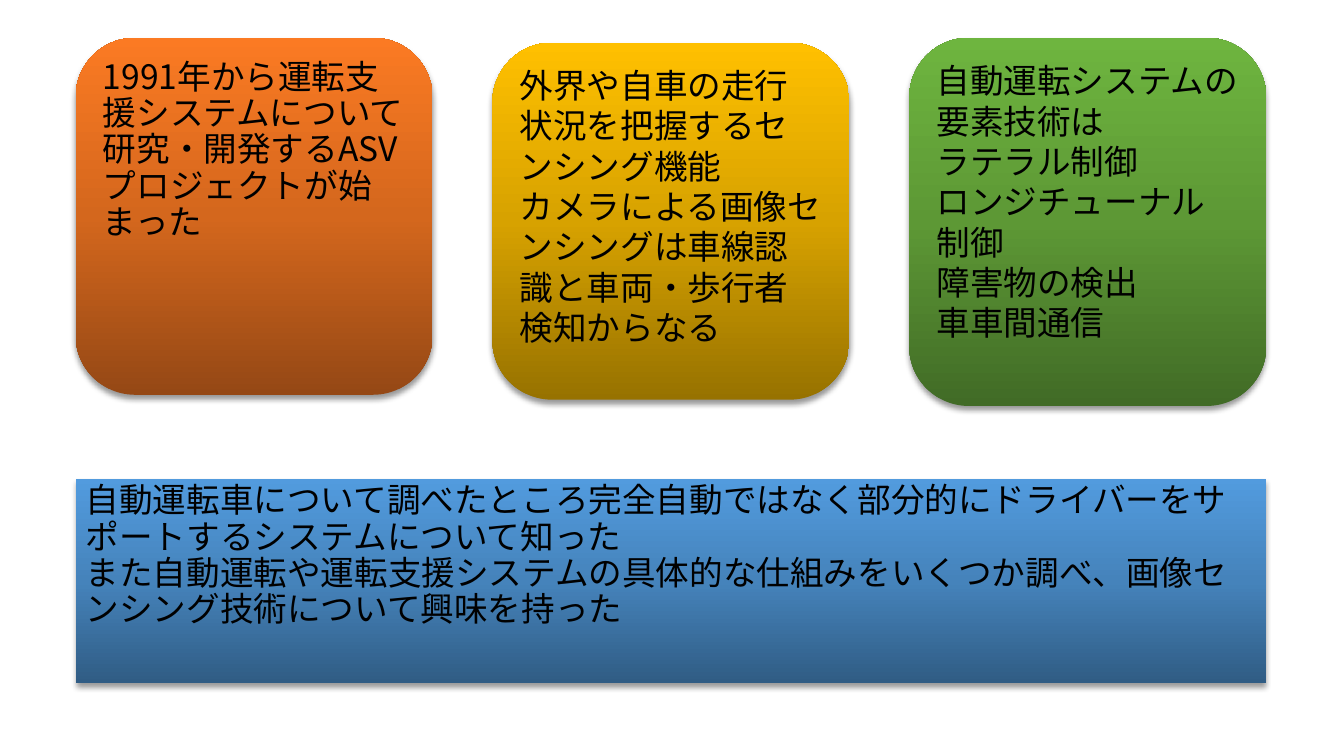
"""Build the summary slide on driver assistance and automated driving."""
from copy import deepcopy
from dataclasses import dataclass

from lxml import etree
from pptx import Presentation
from pptx.dml.color import RGBColor
from pptx.enum.lang import MSO_LANGUAGE_ID
from pptx.enum.shapes import MSO_SHAPE
from pptx.enum.text import MSO_ANCHOR, MSO_AUTO_SIZE, PP_ALIGN
from pptx.oxml.ns import qn
from pptx.util import Pt

ROUNDED = MSO_SHAPE.ROUNDED_RECTANGLE
TOP = MSO_ANCHOR.TOP
LEFT = PP_ALIGN.LEFT
NO_AUTOFIT = MSO_AUTO_SIZE.NONE
JAPANESE = MSO_LANGUAGE_ID.JAPANESE
TITLE_ONLY = 5


@dataclass(frozen=True)
class Theme:
    """Colours, fonts and type size of the slide."""
    text: str = "000000"
    shadow: str = "000000"
    orange: tuple = ("954815", "D4671D", "FB7A23")
    gold: tuple = ("977200", "D7A200", "FFC000")
    green: tuple = ("416B26", "5D9835", "6EB53F")
    blue: tuple = ("305C84", "4583BB", "529BDE")
    card_font: str = "Noto Sans CJK JP"
    title_font: str = "Arial"
    size: int = 24


class SlideBuilder:
    """Draw styled elements on one slide."""

    def __init__(self, slide, theme):
        """Keep the slide and its theme."""
        self.slide = slide
        self.theme = theme

    def card(self, box, colors, paragraphs, spacing=1.0):
        """Add a rounded card with text."""
        card = self.slide.shapes.add_shape(ROUNDED, *map(Pt, box))
        self.surface(card, colors)
        self.add_text(card, paragraphs, self.theme.card_font, spacing)

    def title(self, box, colors, lines):
        """Place and format the title as a banner."""
        banner = self.slide.shapes.title
        banner.left, banner.top, banner.width, banner.height = map(Pt, box)
        self.surface(banner, colors)
        self.add_text(banner, ["\n".join(lines)], self.theme.title_font, 0.9)

    def surface(self, shape, colors):
        """Apply a vertical gradient, no outline and a soft shadow."""
        shape.fill.gradient()
        shape.fill.gradient_angle = 90
        properties = shape._element.spPr
        stops = properties.find(".//" + qn("a:gsLst"))
        stops.insert(1, deepcopy(stops[0]))
        for stop, color, position in zip(shape.fill.gradient_stops, colors, (0, 0.5, 1)):
            stop.color.rgb = RGBColor.from_string(color)
            stop.position = position
        shape.line.fill.background()
        shape.shadow.inherit = False
        shadow = etree.SubElement(
            properties.find(qn("a:effectLst")), qn("a:outerShdw"),
            blurRad=str(Pt(4)), dist=str(Pt(3)), dir="5400000", rotWithShape="0")
        tint = etree.SubElement(shadow, qn("a:srgbClr"), val=self.theme.shadow)
        etree.SubElement(tint, qn("a:alpha"), val="40000")

    def add_text(self, shape, paragraphs, font, spacing):
        """Fill a shape with left-aligned text from its top."""
        frame = shape.text_frame
        frame.word_wrap = True
        frame.auto_size = NO_AUTOFIT
        frame.vertical_anchor = TOP
        for index, text in enumerate(paragraphs):
            paragraph = frame.add_paragraph() if index else frame.paragraphs[0]
            paragraph.alignment = LEFT
            paragraph.line_spacing = spacing
            for row, line in enumerate(text.split("\n")):
                if row:
                    paragraph.add_line_break()
                self.add_run(paragraph, line, font)

    def add_run(self, paragraph, text, font):
        """Add one formatted run."""
        run = paragraph.add_run()
        run.text = text
        run.font.name = font
        run.font.size = Pt(self.theme.size)
        run.font.color.rgb = RGBColor.from_string(self.theme.text)
        run.font.language_id = JAPANESE
        east_asian = etree.Element(qn("a:ea"), typeface=self.theme.card_font)
        run.font._element.find(qn("a:latin")).addnext(east_asian)


def main():
    """Compose and save the slide."""
    deck = Presentation()
    deck.slide_width, deck.slide_height = Pt(960), Pt(540)
    theme = Theme()
    builder = SlideBuilder(deck.slides.add_slide(deck.slide_layouts[TITLE_ONLY]), theme)

    margin, full_width, card_width = 54, 850.5, 255
    pitch = (full_width - card_width) / 2
    cards = [
        (27, 255, theme.orange, 0.9,
         ["1991年から運転支援システムについて研究・開発するASVプロジェクトが始まった"]),
        (30.5, 255, theme.gold, 1.0,
         ["外界や自車の走行状況を把握するセンシング機能",
          "カメラによる画像センシングは車線認識と車両・歩行者検知からなる"]),
        (27, 263, theme.green, 1.0,
         ["自動運転システムの要素技術は", "ラテラル制御", "ロンジチューナル制御",
          "障害物の検出", "車車間通信"]),
    ]
    for column, (top, height, colors, spacing, paragraphs) in enumerate(cards):
        box = (margin + column * pitch, top, card_width, height)
        builder.card(box, colors, paragraphs, spacing)

    builder.title((margin, 342, full_width, 146), theme.blue, [
        "自動運転車について調べたところ完全自動ではなく部分的にドライバーをサポートするシステムについて知った",
        "また自動運転や運転支援システムの具体的な仕組みをいくつか調べ、画像センシング技術について興味を持った",
    ])
    deck.save("out.pptx")


main()
